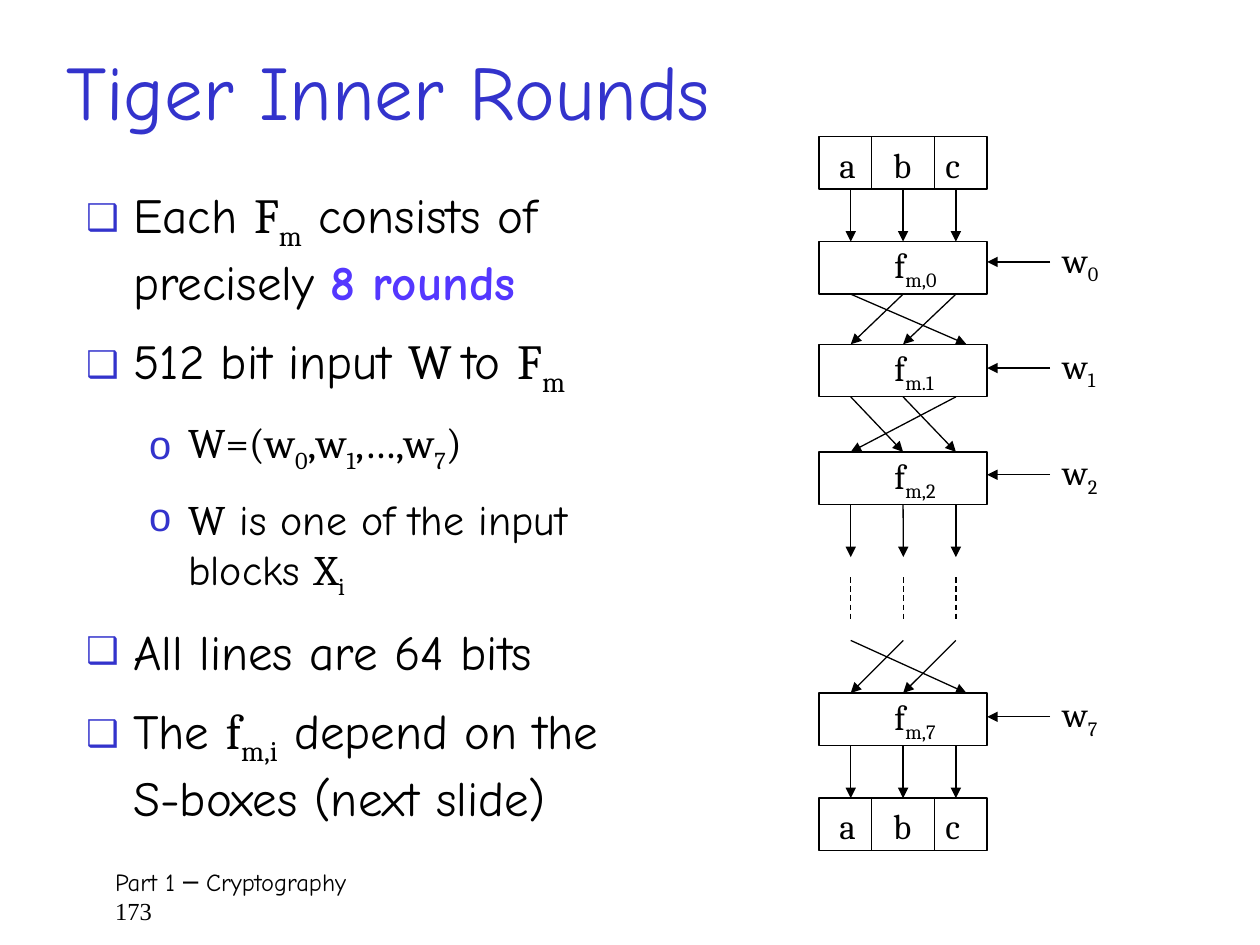
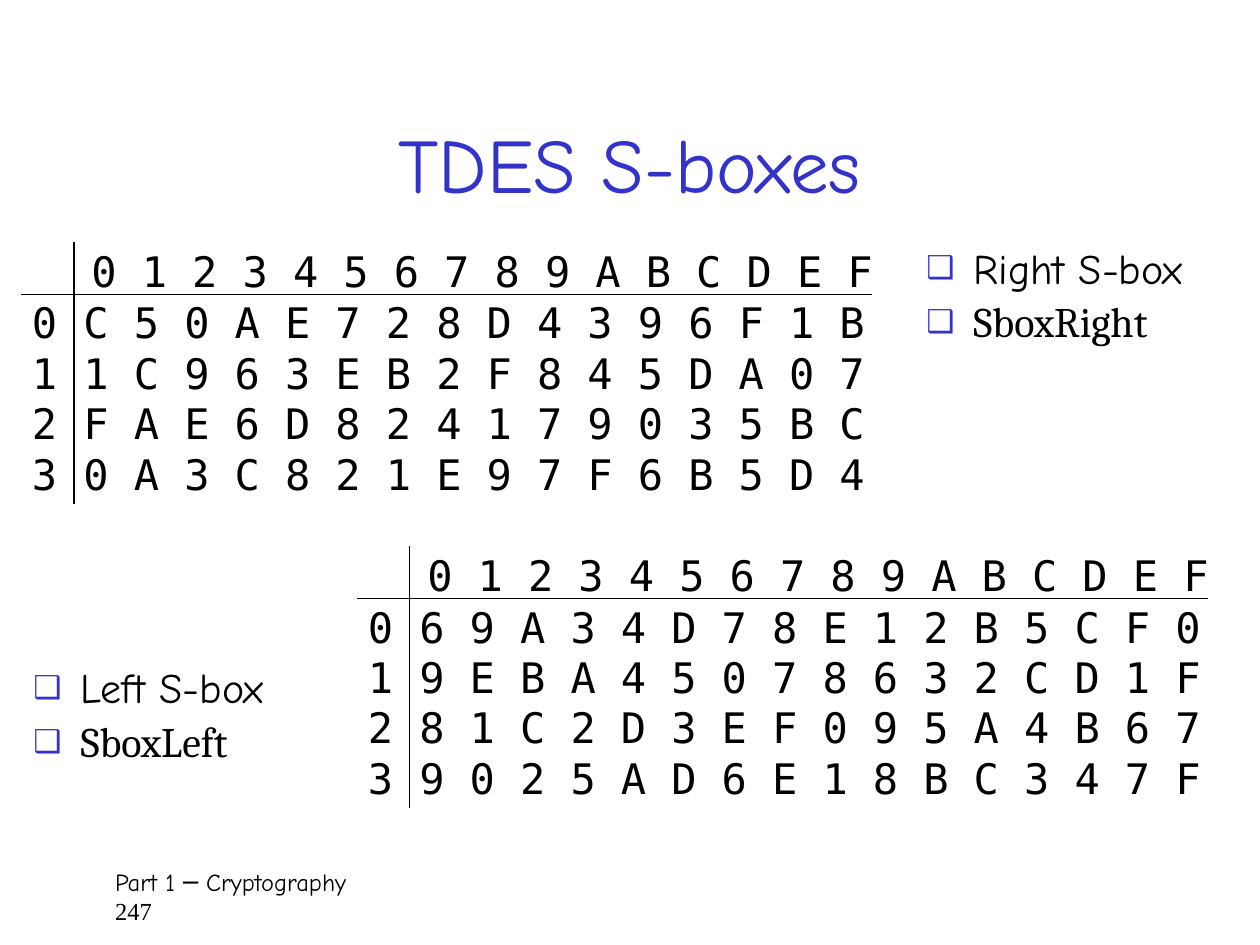
from dataclasses import dataclass

from lxml.etree import SubElement
from pptx import Presentation
from pptx.dml.color import RGBColor
from pptx.enum.dml import MSO_LINE
from pptx.enum.shapes import MSO_CONNECTOR, MSO_SHAPE
from pptx.enum.text import MSO_ANCHOR, MSO_AUTO_SIZE, PP_ALIGN
from pptx.oxml.ns import qn
from pptx.util import Cm, Pt

BLACK = RGBColor(0x00, 0x00, 0x00)
BLUE = RGBColor(0x33, 0x33, 0xCC)
VIOLET = RGBColor(0x54, 0x37, 0xFF)
PROSE, MATH, MONO, NUMERAL = "Comic Neue", "Cambria", "DejaVu Sans Mono", "Times New Roman"
THIN = Pt(0.75)

TOP, BOTTOM = 0, 2
LANE_START, LANE_STEP = 0.64, 1.06
STRAIGHT = (0, 1, 2)
SHIFT_LEFT = (2.2, 0, 1)
SHIFT_RIGHT = (1, 2, 0)
BLOCK_HEIGHT = 1.06
LABEL_COLUMN, SYMBOL_COLUMN = 1.06, 1.016

ROUND_POINTS = [
    (0, [("Each ", "prose"), ("F", "math"), ("m", "sub"),
         (" consists of precisely ", "prose"), ("8 rounds", "strong")]),
    (0, [("512 bit input ", "prose"), ("W ", "math"), ("to ", "prose"),
         ("F", "math"), ("m", "sub")]),
    (1, [("W=(w", "math"), ("0", "sub"), (",w", "math"), ("1", "sub"),
         (",…,w", "math"), ("7", "sub"), (")", "math")]),
    (1, [("W", "math"), (" is one of the input blocks ", "prose"),
         ("X", "math"), ("i", "sub")]),
    (0, [("All lines are 64 bits", "prose")]),
    (0, [("The ", "prose"), ("f", "math"), ("m,i", "sub"),
         (" depend on the S-boxes (next slide)", "prose")]),
]
RIGHT_SBOX = ["C50AE728D4396F1B", "1C963EB2F845DA07",
              "FAE6D824179035BC", "0A3C821E97F6B5D4"]
LEFT_SBOX = ["69A34D78E12B5CF0", "9EBA45078632CD1F",
             "81C2D3EF095A4B67", "9025AD6E18BC347F"]


@dataclass
class Box:
    left: float
    top: float
    width: float
    height: float

    def lengths(self):
        return Cm(self.left), Cm(self.top), Cm(self.width), Cm(self.height)


def style(paragraph, size, name=None, color=BLACK):
    font = paragraph.font
    font.size = Pt(size)
    font.color.rgb = color
    if name:
        font.name = name


def add_runs(paragraph, pieces):
    for text, kind in pieces:
        run = paragraph.add_run()
        run.text = text
        run.font.name = MATH if kind in ("math", "sub") else PROSE
        if kind == "sub":
            run._r.get_or_add_rPr().set("baseline", "-25000")
        if kind == "strong":
            run.font.bold = True
            run.font.color.rgb = VIOLET


def place(placeholder, box):
    placeholder.left, placeholder.top, placeholder.width, placeholder.height = box.lengths()
    placeholder.text_frame.auto_size = MSO_AUTO_SIZE.NONE


def fill_title(slide, text, box):
    title = slide.shapes.title
    place(title, box)
    title.text_frame.vertical_anchor = MSO_ANCHOR.MIDDLE
    paragraph = title.text_frame.paragraphs[0]
    paragraph.text = text
    paragraph.alignment = PP_ALIGN.CENTER
    style(paragraph, 44, PROSE, BLUE)


def add_bullet(paragraph, level):
    symbol, size, margin, hang = [("❑", 75, 0.95, 0.95), ("o", 95, 2.06, 0.79)][level]
    paragraph.level = level
    props = paragraph._p.get_or_add_pPr()
    props.set("marL", str(Cm(margin)))
    props.set("indent", str(-Cm(hang)))
    SubElement(SubElement(props, qn("a:buClr")), qn("a:srgbClr"), val=str(BLUE))
    SubElement(props, qn("a:buSzPct"), val=str(size * 1000))
    SubElement(props, qn("a:buChar"), char=symbol)


def fill_list(placeholder, points, box, sizes, after=0, spacing=1.0):
    place(placeholder, box)
    frame = placeholder.text_frame
    frame.vertical_anchor = MSO_ANCHOR.TOP
    for index, (level, pieces) in enumerate(points):
        paragraph = frame.add_paragraph() if index else frame.paragraphs[0]
        add_bullet(paragraph, level)
        paragraph.space_before = Pt(sizes[level] * 0.2 if index else 0)
        paragraph.space_after = Pt(after)
        paragraph.line_spacing = spacing
        style(paragraph, sizes[level])
        add_runs(paragraph, pieces)


def add_footer(slide, number):
    frame = slide.shapes.add_textbox(*Box(2.07, 17.35, 21.6, 1.27).lengths()).text_frame
    frame.word_wrap = True
    section, page = frame.paragraphs[0], frame.add_paragraph()
    section.text = "Part 1 ─ Cryptography"
    page.text = str(number)
    style(section, 14, PROSE)
    style(page, 14, NUMERAL)


def add_line(slide, x1, y1, x2, y2, arrow=False):
    line = slide.shapes.add_connector(
        MSO_CONNECTOR.STRAIGHT, Cm(x1), Cm(y1), Cm(x2), Cm(y2))
    line.line.color.rgb = BLACK
    line.line.width = THIN
    SubElement(line._element.spPr, qn("a:effectLst"))
    if arrow:
        SubElement(line.line._get_or_add_ln(), qn("a:tailEnd"), type="triangle")
    return line


def add_block(slide, box):
    block = slide.shapes.add_shape(MSO_SHAPE.RECTANGLE, *box.lengths())
    block.shadow.inherit = False
    block.fill.background()
    block.line.color.rgb = BLACK
    block.line.width = THIN
    return block


def write_label(frame, pieces, alignment=PP_ALIGN.LEFT):
    frame.word_wrap = False
    frame.margin_top = frame.margin_bottom = 0
    frame.vertical_anchor = MSO_ANCHOR.MIDDLE
    paragraph = frame.paragraphs[0]
    paragraph.alignment = alignment
    style(paragraph, 20, MATH)
    add_runs(paragraph, pieces)


def add_register(slide, box):
    block = add_block(slide, box)
    for letter, center in zip("abc", (0.58, 1.68, 2.7)):
        letter_box = Box(box.left + center - 0.45, box.top + 0.03, 0.9, box.height)
        label = slide.shapes.add_textbox(*letter_box.lengths())
        write_label(label.text_frame, [(letter, "math")], PP_ALIGN.CENTER)
    for offset in (1.06, 2.33):
        divider = box.left + offset
        add_line(slide, divider, box.top + box.height, divider, box.top)
    return block


def add_round(slide, box, subscript, word, word_drop):
    block = add_block(slide, box)
    block.text_frame.margin_left = Cm(1.52)
    write_label(block.text_frame, [("f", "math"), (subscript, "sub")])
    right, entry = box.left + box.width, box.top + word_drop
    word_box = Box(right + 1.27, entry - box.height / 2, 1.27, box.height)
    word_label = slide.shapes.add_textbox(*word_box.lengths())
    write_label(word_label.text_frame, [("w", "math"), (word, "sub")])
    add_line(slide, word_box.left, entry, right, entry, arrow=True)
    return block


def add_wires(slide, left, start, end, targets, above=None, below=None, arrow=True):
    wires = []
    for lane, target in enumerate(targets):
        x1, x2 = (left + LANE_START + LANE_STEP * n for n in (lane, target))
        wire = add_line(slide, x1, start, x2, end, arrow)
        if above and lane == 1:
            wire.begin_connect(above, BOTTOM)
        if below and target == 1:
            wire.end_connect(below, TOP)
        wires.append(wire)
    return wires


def draw_rounds(slide, box):
    rows = [Box(box.left, box.top + offset, box.width, BLOCK_HEIGHT)
            for offset in (0, 2.12, 4.19, 6.36, 11.22, 13.34)]
    rounds = [("m,0", "0", 0.41), ("m.1", "1", 0.48), ("m,2", "2", 0.46), ("m,7", "7", 0.48)]
    blocks = [add_register(slide, rows[0])]
    blocks += [add_round(slide, row, *labels) for row, labels in zip(rows[1:5], rounds)]
    blocks.append(add_register(slide, rows[5]))

    for upper, targets in [(0, STRAIGHT), (1, SHIFT_LEFT), (2, SHIFT_RIGHT), (4, STRAIGHT)]:
        add_wires(slide, box.left, rows[upper].top + BLOCK_HEIGHT, rows[upper + 1].top,
                  targets, blocks[upper], blocks[upper + 1])

    leaving = rows[3].top + BLOCK_HEIGHT
    add_wires(slide, box.left, leaving, leaving + 1.06, STRAIGHT, above=blocks[3])
    for dash in add_wires(slide, box.left, leaving + 1.47, leaving + 2.33,
                          STRAIGHT, arrow=False):
        dash.line.dash_style = MSO_LINE.DASH
    add_wires(slide, box.left, rows[4].top - 1.06, rows[4].top, SHIFT_LEFT, below=blocks[4])


def draw_sbox(slide, rows, box):
    grid = [" 0123456789ABCDEF"] + [f"{n}{row}" for n, row in enumerate(rows)]
    grid_box = Box(box.left - 0.06, box.top + 0.09, box.width, box.height)
    table = slide.shapes.add_table(len(grid), len(grid[0]), *grid_box.lengths()).table
    table.first_row = table.horz_banding = False
    for n, column in enumerate(table.columns):
        column.width = Cm(SYMBOL_COLUMN if n else LABEL_COLUMN)
    for n, row in enumerate(table.rows):
        row.height = Cm(SYMBOL_COLUMN if n else LABEL_COLUMN)
    for r, symbols in enumerate(grid):
        for c, symbol in enumerate(symbols):
            cell = table.cell(r, c)
            cell.fill.background()
            cell.margin_left = Cm(0 if r else 0.32)
            cell.margin_right = cell.margin_top = cell.margin_bottom = 0
            cell.vertical_anchor = MSO_ANCHOR.MIDDLE
            paragraph = cell.text_frame.paragraphs[0]
            paragraph.text = symbol.strip()
            paragraph.alignment = PP_ALIGN.CENTER
            style(paragraph, 24, MONO)
    divider, rule = box.left + LABEL_COLUMN, box.top + LABEL_COLUMN
    add_line(slide, divider, box.top, divider, box.top + box.height)
    add_line(slide, box.left, rule, box.left + box.width, rule)


def build_rounds_slide(deck):
    slide = deck.slides.add_slide(deck.slide_layouts[1])
    add_footer(slide, 173)
    fill_title(slide, "Tiger Inner Rounds", Box(0.43, 0.64, 14.8, 2.33))
    fill_list(slide.placeholders[1], ROUND_POINTS, Box(1.48, 3.6, 11.64, 13.34),
              sizes=(28, 24), after=6)
    draw_rounds(slide, Box(16.51, 2.75, 3.39, 14.4))


def build_sboxes_slide(deck):
    slide = deck.slides.add_slide(deck.slide_layouts[3])
    add_footer(slide, 247)
    fill_title(slide, "TDES S-boxes", Box(1.9, 1.68, 21.6, 3.18))
    sboxes = [
        (1, "Right", RIGHT_SBOX, Box(18.42, 4.87, 6.35, 2.33), Box(0.43, 4.88, 17.15, 5.28)),
        (2, "Left", LEFT_SBOX, Box(0.42, 13.33, 6.35, 2.33), Box(7.2, 11.01, 17.15, 5.28)),
    ]
    for holder, side, rows, list_box, table_box in sboxes:
        names = [(0, [(f"{side} S-box", "prose")]), (0, [(f"Sbox{side}", "math")])]
        fill_list(slide.placeholders[holder], names, list_box, sizes=(24,), spacing=0.9)
        draw_sbox(slide, rows, table_box)


def main():
    deck = Presentation()
    deck.slide_width, deck.slide_height = Cm(25.4), Cm(19.05)
    build_rounds_slide(deck)
    build_sboxes_slide(deck)
    deck.save("out.pptx")


if __name__ == "__main__":
    main()
